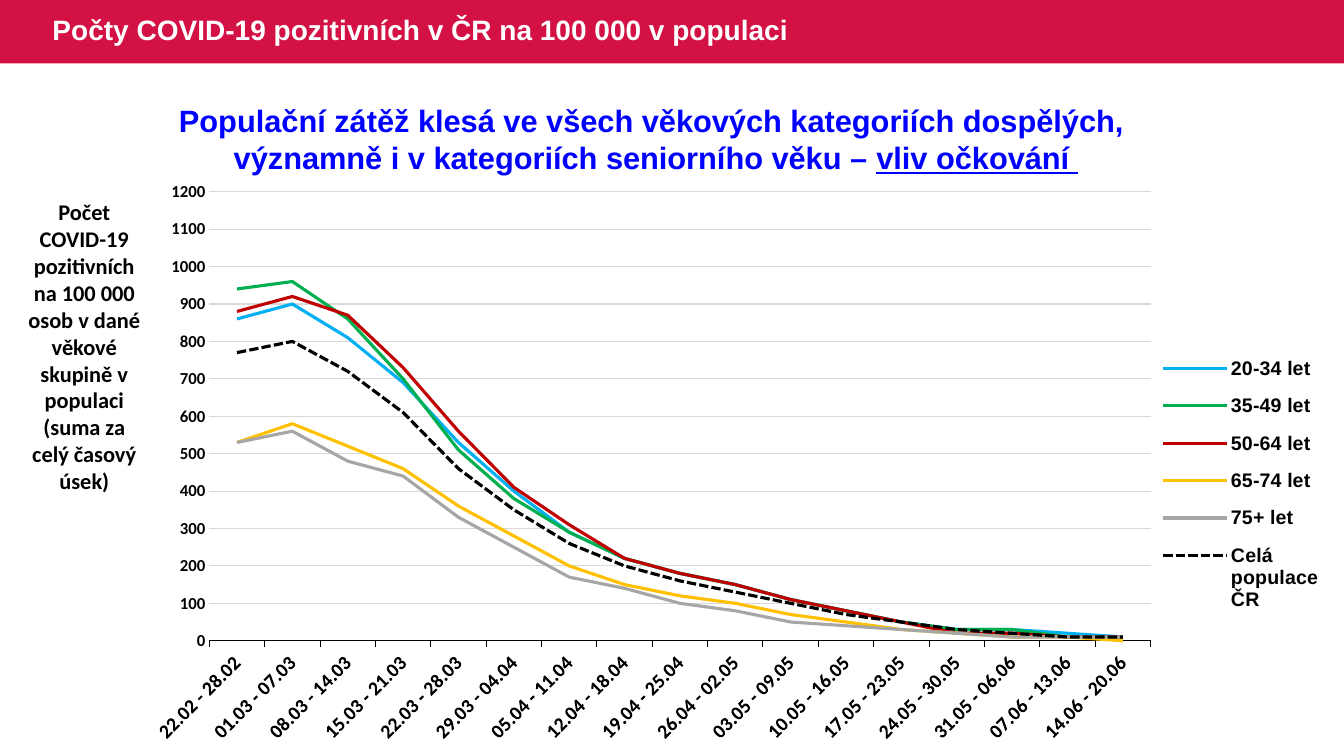
from lxml import etree
from pptx import Presentation
from pptx.chart.data import CategoryChartData
from pptx.dml.color import RGBColor
from pptx.enum.chart import XL_CHART_TYPE, XL_LEGEND_POSITION, XL_TICK_MARK
from pptx.enum.dml import MSO_LINE
from pptx.enum.shapes import MSO_SHAPE
from pptx.enum.text import MSO_ANCHOR, PP_ALIGN
from pptx.oxml.ns import qn
from pptx.util import Inches, Pt

LINE_CHART = XL_CHART_TYPE.LINE
LEGEND_RIGHT = XL_LEGEND_POSITION.RIGHT
TICK_NONE, TICK_OUT = XL_TICK_MARK.NONE, XL_TICK_MARK.OUTSIDE
DASH = MSO_LINE.SQUARE_DOT
RECT = MSO_SHAPE.RECTANGLE
MIDDLE, TOP = MSO_ANCHOR.MIDDLE, MSO_ANCHOR.TOP
LEFT, CENTER = PP_ALIGN.LEFT, PP_ALIGN.CENTER

WEEKS = ["22.02 - 28.02", "01.03 - 07.03", "08.03 - 14.03", "15.03 - 21.03",
         "22.03 - 28.03", "29.03 - 04.04", "05.04 - 11.04", "12.04 - 18.04",
         "19.04 - 25.04", "26.04 - 02.05", "03.05 - 09.05", "10.05 - 16.05",
         "17.05 - 23.05", "24.05 - 30.05", "31.05 - 06.06", "07.06 - 13.06",
         "14.06 - 20.06"]
AGE_GROUPS = [
    ("20-34 let", "00B0F0", None,
     [860, 900, 810, 690, 530, 400, 290, 220, 180, 150, 110, 80, 50, 30, 30, 20, 10]),
    ("35-49 let", "00B050", None,
     [940, 960, 860, 700, 510, 380, 290, 220, 180, 150, 110, 80, 50, 30, 30, 10, 10]),
    ("50-64 let", "C00000", None,
     [880, 920, 870, 730, 560, 410, 310, 220, 180, 150, 110, 80, 50, 20, 20, 10, 10]),
    ("65-74 let", "FFC000", None,
     [530, 580, 520, 460, 360, 280, 200, 150, 120, 100, 70, 50, 30, 20, 10, 10, 0]),
    ("75+ let", "A6A6A6", None,
     [530, 560, 480, 440, 330, 250, 170, 140, 100, 80, 50, 40, 30, 20, 10, 10, 10]),
    ("Celá populace ČR", "000000", DASH,
     [770, 800, 720, 610, 460, 350, 260, 200, 160, 130, 100, 70, 50, 30, 20, 10, 10]),
]


def rgb(value):
    """Turn a hex string into a colour."""
    return RGBColor.from_string(value)


class Deck:
    """Holds the style and the current slide; boxes are percent of the slide."""

    def __init__(self):
        """Open a widescreen deck with one title-only slide."""
        self.prs = Presentation()
        self.prs.slide_width, self.prs.slide_height = Inches(13.33), Inches(7.5)
        self.slide = self.prs.slides.add_slide(self.prs.slide_layouts[5])
        self.head, self.body = "Arial", "Calibri"
        self.ink, self.grid = "000000", "D9D9D9"

    def box(self, x, y, w, h):
        """Convert percent of the slide to lengths."""
        sw, sh = self.prs.slide_width, self.prs.slide_height
        return [int(part * side / 100) for part, side in zip((x, y, w, h), (sw, sh) * 2)]

    def font(self, font, name, size, color):
        """Apply one bold style to a font."""
        font.name, font.size, font.bold = name, Pt(size), True
        font.color.rgb = rgb(color)

    def fill_text(self, sp, paragraphs, name, size, color, align, anchor):
        """Fill a shape with paragraphs of (text, underline) runs."""
        tf = sp.text_frame
        tf.word_wrap, tf.vertical_anchor = True, anchor
        for i, runs in enumerate(paragraphs):
            p = tf.add_paragraph() if i else tf.paragraphs[0]
            p.alignment = align
            self.font(p.font, name, size, color)
            for text, underline in runs:
                r = p.add_run()
                r.text = text
                if underline:
                    r.font.underline = True

    def title(self, text, area, band, fill):
        """Place the title over a full-width band."""
        sp = self.slide.shapes.title
        sp.left, sp.top, sp.width, sp.height = self.box(*area)
        self.fill_text(sp, [[(text, False)]], self.head, 20, "FFFFFF", LEFT, MIDDLE)
        sp.text_frame.paragraphs[0].line_spacing = 0.9
        bar = self.slide.shapes.add_shape(RECT, *self.box(*band))
        bar.shadow.inherit = False
        bar.fill.solid()
        bar.fill.fore_color.rgb = rgb(fill)
        bar.line.fill.background()
        sp.element.addprevious(bar.element)

    def text(self, paragraphs, area, name, size, color):
        """Add a centred text box."""
        sp = self.slide.shapes.add_textbox(*self.box(*area))
        self.fill_text(sp, paragraphs, name, size, color, CENTER, TOP)

    def layout(self, parent, index, shares, inner=False):
        """Fix the place of a chart part in shares of the chart."""
        for old in parent.findall(qn("c:layout")):
            parent.remove(old)
        layout = etree.Element(qn("c:layout"))
        manual = etree.SubElement(layout, qn("c:manualLayout"))
        fields = [("layoutTarget", "inner")] if inner else []
        fields += [("xMode", "edge"), ("yMode", "edge")]
        fields += zip("xywh", shares)
        for tag, value in fields:
            etree.SubElement(manual, qn(f"c:{tag}"), val=str(value))
        parent.insert(index, layout)

    def line_chart(self, weeks, groups, area, plot_area, legend_area):
        """Add a line chart with one line per group."""
        data = CategoryChartData(number_format="0")
        data.categories = weeks
        for name, _, _, values in groups:
            data.add_series(name, values)
        chart = self.slide.shapes.add_chart(LINE_CHART, *self.box(*area), data).chart
        chart.has_title = False
        self.font(chart.font, self.head, 14, self.ink)
        plot = chart.plots[0]
        plot.vary_by_categories = False
        for series, (_, color, dash, _) in zip(plot.series, groups):
            series.smooth = False
            line = series.format.line
            line.width, line.color.rgb = Pt(2.25), rgb(color)
            if dash:
                line.dash_style = dash

        cat, val = chart.category_axis, chart.value_axis
        cat.major_tick_mark, val.major_tick_mark = TICK_OUT, TICK_NONE
        self.font(cat.tick_labels.font, self.body, 14, self.ink)
        self.font(val.tick_labels.font, self.body, 12, self.ink)
        val.minimum_scale, val.maximum_scale, val.major_unit = 0, 1200, 100
        val.format.line.fill.background()
        val.has_major_gridlines = True
        for line, color in ((cat.format.line, self.ink),
                            (val.major_gridlines.format.line, self.grid)):
            line.width, line.color.rgb = Pt(0.75), rgb(color)
        chart.element.xpath(".//c:catAx/c:txPr/a:bodyPr")[0].set("rot", "-2700000")

        chart.has_legend = True
        chart.legend.position = LEGEND_RIGHT
        chart.legend.include_in_layout = False
        self.font(chart.legend.font, self.head, 14, self.ink)
        self.layout(chart.element.xpath(".//c:plotArea")[0], 0, plot_area, inner=True)
        self.layout(chart.element.xpath(".//c:legend")[0], 1, legend_area)


def main():
    """Build the slide and save it."""
    deck = Deck()
    deck.title("Počty COVID-19 pozitivních v ČR na 100 000 v populaci",
               (3.15, 0, 62.8, 8.4), (0, 0, 100, 8.4), "D31145")
    deck.line_chart(WEEKS, AGE_GROUPS, (11.4, 23.33, 87.47, 78.27),
                    (0.045, 0.026, 0.803, 0.759), (0.85, 0.28, 0.15, 0.48))
    deck.text([[("Počet COVID-19 pozitivních na 100 000 osob v dané věkové skupině "
                 "v populaci (suma za celý časový úsek)", False)]],
              (1.13, 25.6, 10.28, 40.8), deck.body, 16, deck.ink)
    deck.text([[("Populační zátěž klesá ve všech věkových kategoriích dospělých, ", False)],
               [("významně i v kategoriích seniorního věku – ", False),
                ("vliv očkování ", True)]],
              (2.25, 12.8, 93.1, 11.2), deck.head, 22, "0000FF")
    deck.prs.save("out.pptx")


if __name__ == "__main__":
    main()
